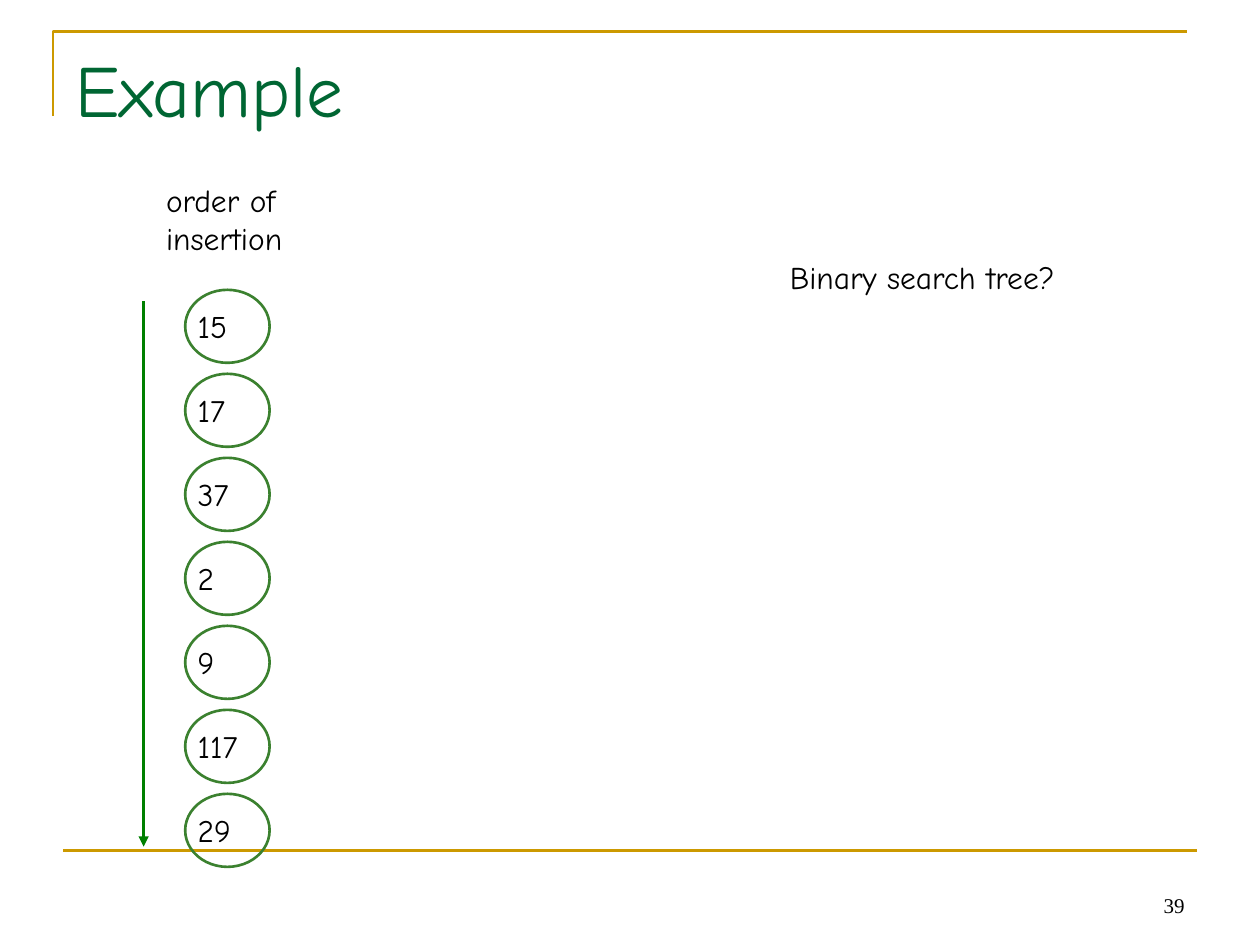
"""Build the binary search tree insertion example slide."""
from dataclasses import dataclass

from lxml import etree
from pptx import Presentation
from pptx import util as u
from pptx.dml.color import RGBColor
from pptx.enum import shapes, text
from pptx.oxml.ns import qn


@dataclass(frozen=True)
class Theme:
    body_font: str = "Comic Neue"
    number_font: str = "Times New Roman"
    title_size: int = 42
    body_size: int = 18
    number_size: int = 12
    line_width: float = 1.5
    title: str = "006633"
    ink: str = "000000"
    frame: str = "CC9900"
    node: str = "3B812F"
    arrow: str = "008000"


THEME = Theme()
TITLE = ("Example", (0.5, 0.3, 9, 1.25))
PAGE_NUMBER = ("39", (7.17, 6.83, 2.33, 0.5))
CAPTIONS = [
    ("order of insertion", (1.22, 1.39, 1.5, 0.7)),
    ("Binary search tree?", (6.17, 2, 2.54, 0.4)),
]
INSERTED_KEYS = ["15", "17", "37", "2", "9", "117", "29"]
NODE_LEFT, NODE_TOP, NODE_PITCH = 1.47, 2.3, 2 / 3
NODE_SIZE = (0.67, 0.58)
KEY_OFFSET, KEY_SIZE = 0.09, (0.75, 0.4)
CORNER = [(0.42, 0.92), (0.42, 0.25), (9.42, 0.25)]
FOOTER_RULE = ((0.5, 6.75), (9.5, 6.75))
ORDER_ARROW = ((1.14, 2.39), (1.14, 6.72))


def inches(values):
    return [u.Inches(value) for value in values]


def style_line(shape, color):
    shape.line.color.rgb = RGBColor.from_string(color)
    shape.line.width = u.Pt(THEME.line_width)


def add_text(container, content, box, size=THEME.body_size, font=THEME.body_font,
             color=THEME.ink, anchor=text.MSO_ANCHOR.TOP, align=text.PP_ALIGN.LEFT):
    frame = container.add_textbox(*inches(box)).text_frame
    frame.word_wrap = True
    frame.vertical_anchor = anchor
    paragraph = frame.paragraphs[0]
    paragraph.text = content
    paragraph.alignment = align
    paragraph.font.size = u.Pt(size)
    paragraph.font.name = font
    paragraph.font.color.rgb = RGBColor.from_string(color)


def add_line(container, ends, color, arrow=False):
    start, end = ends
    connector = container.add_connector(
        shapes.MSO_CONNECTOR.STRAIGHT, *inches(start + end))
    style_line(connector, color)
    if arrow:
        etree.SubElement(connector.line._get_or_add_ln(), qn("a:tailEnd"), type="triangle")
    etree.SubElement(connector._element.spPr, qn("a:effectLst"))


def add_corner(container):
    start, *rest = CORNER
    builder = container.build_freeform(*inches(start), scale=1.0)
    builder.add_line_segments([inches(point) for point in rest], close=False)
    corner = builder.convert_to_shape()
    corner.shadow.inherit = False
    corner.fill.background()
    style_line(corner, THEME.frame)


def add_node(container, key, top):
    group = container.add_group_shape()
    ellipse = group.shapes.add_shape(
        shapes.MSO_SHAPE.OVAL, *inches((NODE_LEFT, top, *NODE_SIZE)))
    ellipse.shadow.inherit = False
    ellipse.fill.background()
    style_line(ellipse, THEME.node)
    add_text(group.shapes, key, (NODE_LEFT, top + KEY_OFFSET, *KEY_SIZE))


def main():
    presentation = Presentation()
    presentation.slide_width, presentation.slide_height = inches((10, 7.5))
    slide = presentation.slides.add_slide(presentation.slide_layouts[6])
    container = slide.shapes

    add_corner(container)
    add_line(container, FOOTER_RULE, THEME.frame)
    add_text(container, *PAGE_NUMBER, size=THEME.number_size, font=THEME.number_font,
             anchor=text.MSO_ANCHOR.BOTTOM, align=text.PP_ALIGN.RIGHT)
    add_text(container, *TITLE, size=THEME.title_size, color=THEME.title)
    for index, key in enumerate(INSERTED_KEYS):
        add_node(container, key, NODE_TOP + index * NODE_PITCH)
    add_line(container, ORDER_ARROW, THEME.arrow, arrow=True)
    for caption, box in CAPTIONS:
        add_text(container, caption, box)

    presentation.save("out.pptx")


if __name__ == "__main__":
    main()
